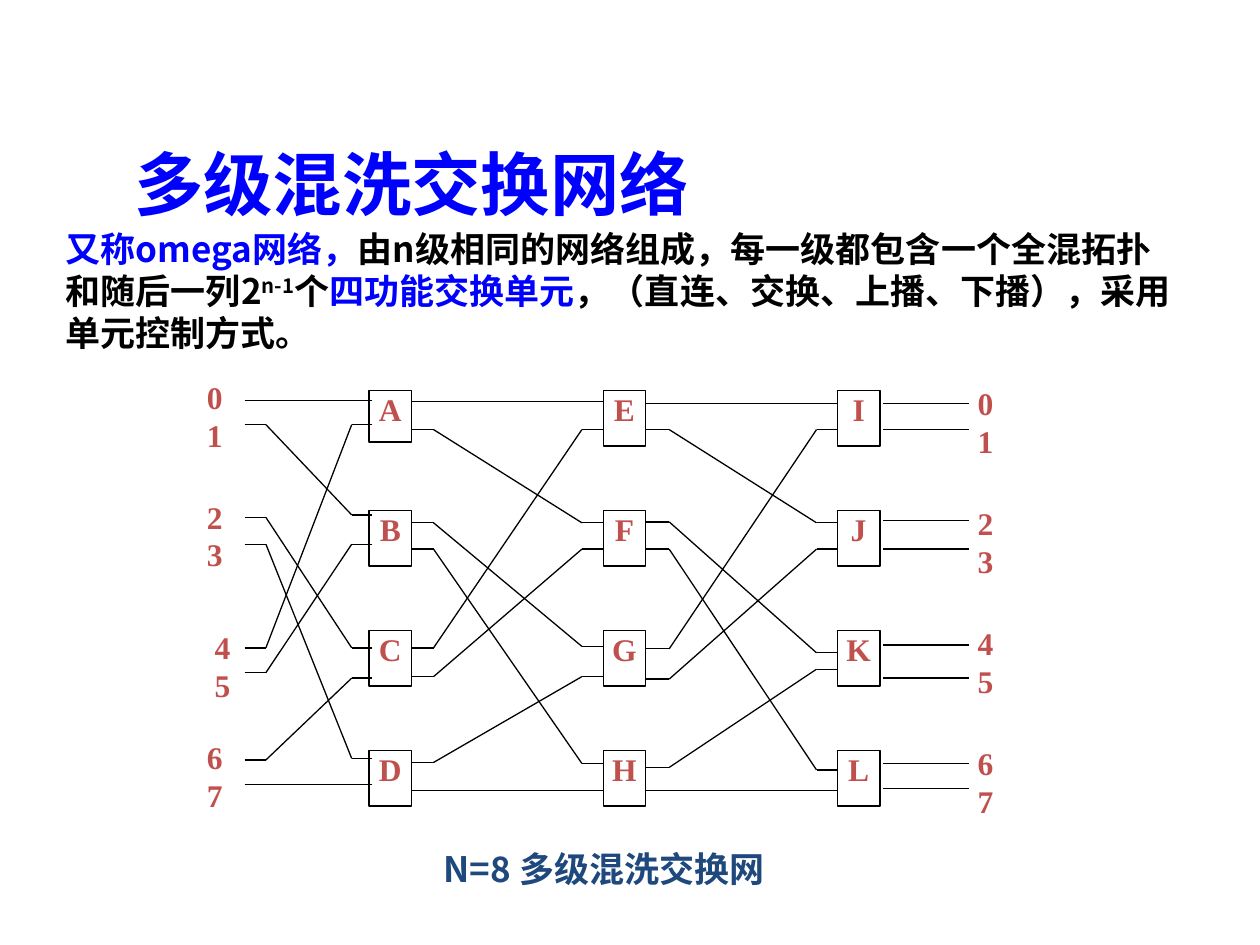
import lxml.etree
import pptx
import pptx.dml.color
import pptx.enum.shapes
import pptx.enum.text
import pptx.oxml.ns
import pptx.util

Cm = pptx.util.Cm
Pt = pptx.util.Pt
ALIGN = pptx.enum.text.PP_ALIGN
ANCHOR = pptx.enum.text.MSO_ANCHOR

BLUE = pptx.dml.color.RGBColor(0x00, 0x00, 0xFF)
BLACK = pptx.dml.color.RGBColor(0x00, 0x00, 0x00)
RED = pptx.dml.color.RGBColor(0xC0, 0x50, 0x4D)
NAVY = pptx.dml.color.RGBColor(0x1F, 0x49, 0x7D)
CJK = "Noto Sans CJK SC"
SERIF = "Times New Roman"

# Switch grid, in cm
GRID_X, GRID_Y = 7.44, 7.87
COL_STEP, ROW_STEP = 4.72, 2.42
BOX_W, BOX_H = 0.86, 1.12
SWITCHES = ["ABCD", "EFGH", "IJKL"]

# Each stage: x of start, two bends and end; then the y of both ends of each link
STAGES = [
    ((4.93, 5.36, 7.09, 7.49),
     [(8.07, 8.07), (8.56, 10.38), (10.43, 13.06), (10.97, 15.29),
      (13.06, 8.56), (13.56, 10.97), (15.32, 13.67), (15.82, 15.82)]),
    ((8.31, 8.74, 11.73, 12.17),
     [(8.10, 8.10), (8.66, 10.54), (10.54, 13.03), (11.07, 15.39),
      (13.06, 8.66), (13.64, 11.07), (15.37, 13.64), (15.93, 15.93)]),
    ((13.03, 13.49, 16.46, 16.89),
     [(8.13, 8.13), (8.66, 10.54), (10.52, 13.16), (11.07, 15.52),
      (13.08, 8.66), (13.69, 11.07), (15.47, 13.49), (15.93, 15.93)]),
]
OUTPUT_X = (17.81, 19.53)
OUTPUT_Y = [8.13, 8.66, 10.49, 11.07, 13.0, 13.67, 15.39, 15.9]
INPUT_LABELS = [(4.01, 7.62), (4.01, 10.03), (4.17, 12.67), (4.01, 14.88)]


def format_run(r, size, color, latin, east_asian=CJK):
    r.font.size = Pt(size)
    r.font.bold = True
    r.font.name = latin
    r.font.color.rgb = color
    ea = lxml.etree.SubElement(r._r.get_or_add_rPr(), pptx.oxml.ns.qn("a:ea"))
    ea.set("typeface", east_asian)


def format_text(tf, size, color, latin, align):
    for p in tf.paragraphs:
        p.alignment = align
        for r in p.runs:
            format_run(r, size, color, latin)


def place(sp, left, top, width, height):
    sp.left, sp.top, sp.width, sp.height = Cm(left), Cm(top), Cm(width), Cm(height)


def set_insets(tf, left=0):
    tf.margin_left = Cm(left)
    tf.margin_top = tf.margin_right = tf.margin_bottom = 0


def add_label(shapes, text, left, top, width, height, size=18, color=RED, font=SERIF):
    sp = shapes.add_textbox(Cm(left), Cm(top), Cm(width), Cm(height))
    tf = sp.text_frame
    tf.word_wrap = True
    tf.text = text
    format_text(tf, size, color, font, ALIGN.JUSTIFY)
    return tf


def add_switch(shapes, name, left, top, height):
    sp = shapes.add_shape(pptx.enum.shapes.MSO_SHAPE.RECTANGLE,
                          Cm(left), Cm(top), Cm(BOX_W), Cm(height))
    sp.shadow.inherit = False
    sp.fill.background()
    sp.line.color.rgb = BLACK
    sp.line.width = Pt(0.75)
    tf = sp.text_frame
    tf.text = name
    tf.vertical_anchor = ANCHOR.TOP
    set_insets(tf)
    format_text(tf, 18, RED, SERIF, ALIGN.CENTER)


def add_line(shapes, x1, y1, x2, y2):
    line = shapes.add_connector(pptx.enum.shapes.MSO_CONNECTOR.STRAIGHT,
                                Cm(x1), Cm(y1), Cm(x2), Cm(y2))
    line.line.color.rgb = BLACK
    line.line.width = Pt(0.75)
    lxml.etree.SubElement(line._element.spPr, pptx.oxml.ns.qn("a:effectLst"))


def add_link(shapes, xs, y1, y2):
    start, bend1, bend2, end = xs
    if y1 == y2:
        add_line(shapes, start, y1, end, y2)
        return
    add_line(shapes, start, y1, bend1, y1)
    add_line(shapes, bend1, y1, bend2, y2)
    add_line(shapes, bend2, y2, end, y2)


def fill_title(sp):
    place(sp, 1.07, 3.38, 14.45, 1.27)
    tf = sp.text_frame
    tf.text = "多级混洗交换网络"
    tf.vertical_anchor = ANCHOR.BOTTOM
    format_text(tf, 39.6, BLUE, "Calibri", ALIGN.CENTER)


def fill_body(sp):
    place(sp, 1.07, 4.45, 23.06, 2.9)
    tf = sp.text_frame
    tf.auto_size = pptx.enum.text.MSO_AUTO_SIZE.SHAPE_TO_FIT_TEXT
    tf.vertical_anchor = ANCHOR.TOP
    p = tf.paragraphs[0]
    p.alignment = ALIGN.LEFT
    p.space_before = Pt(0)
    for text, color, baseline in [
        ("又称omega网络，", BLUE, 0),
        ("由n级相同的网络组成，每一级都包含一个全混拓扑和随后一列2", BLACK, 0),
        ("n-1", BLACK, 30000),
        ("个", BLACK, 0),
        ("四功能交换单元", BLUE, 0),
        ("，（直连、交换、上播、下播），采用单元控制方式。", BLACK, 0),
    ]:
        r = p.add_run()
        r.text = text
        format_run(r, 20, color, CJK)
        if baseline:
            r._r.get_or_add_rPr().set("baseline", str(baseline))


def add_network(shapes):
    # Switches
    for col, names in enumerate(SWITCHES):
        for row, name in enumerate(names):
            height = 1.04 if name == "A" else BOX_H
            add_switch(shapes, name, GRID_X + col * COL_STEP,
                       GRID_Y + row * ROW_STEP, height)
    # Links between stages, then the output lines
    for xs, links in STAGES:
        for y1, y2 in links:
            add_link(shapes, xs, y1, y2)
    for y in OUTPUT_Y:
        add_line(shapes, OUTPUT_X[0], y, OUTPUT_X[1], y)
    # Port numbers, two to a label
    for i, (left, top) in enumerate(INPUT_LABELS):
        text = f"{2 * i}\n{2 * i + 1}"
        set_insets(add_label(shapes, text, left, top, 0.86, 1.38), 0.16)
        add_label(shapes, text, 19.46, 7.62 + i * ROW_STEP, 1.5, 1.8)


def main():
    prs = pptx.Presentation()
    prs.slide_width, prs.slide_height = Cm(25.4), Cm(19.05)
    slide = prs.slides.add_slide(prs.slide_layouts[0])
    fill_title(slide.shapes.title)
    fill_body(slide.placeholders[1])
    add_network(slide.shapes)
    # Caption
    add_label(slide.shapes, "N=8 多级混洗交换网", 8.69, 16.97, 7.42, 1.09,
              20, NAVY, CJK)
    prs.save("out.pptx")


if __name__ == "__main__":
    main()
